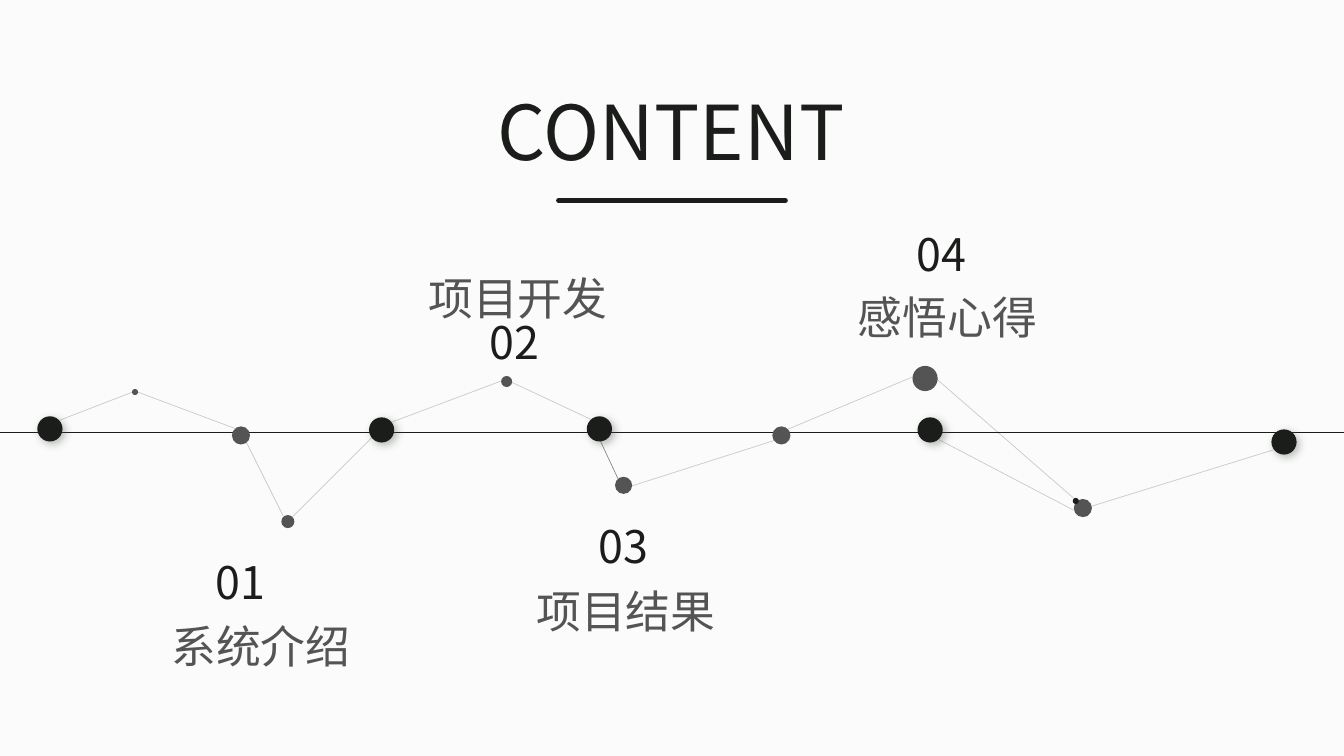
"""Build the contents slide: a timeline of linked dots with four numbered topics."""
from lxml.etree import SubElement
from pptx import Presentation
from pptx.dml.color import RGBColor
from pptx.enum.shapes import MSO_CONNECTOR, MSO_SHAPE
from pptx.enum.text import MSO_AUTO_SIZE, PP_ALIGN
from pptx.oxml import parse_xml
from pptx.oxml.ns import nsdecls, qn
from pptx.util import Inches, Pt

HUES = {"back": "FBFBFB", "ink": "1A1D1A", "gray": "545454", "shade": "505950"}
FONT = "Noto Sans CJK SC"
COLS, ROWS = 1333, 750
UNIT = Inches(0.01)

deck = Presentation()
deck.slide_width, deck.slide_height = COLS * UNIT, ROWS * UNIT
slide = deck.slides.add_slide(deck.slide_layouts[6])
slide.background.fill.solid()
slide.background.fill.fore_color.rgb = RGBColor.from_string(HUES["back"])


def add_line(ends, width, alpha=100):
    line = slide.shapes.add_connector(
        MSO_CONNECTOR.STRAIGHT, *[round(end * UNIT) for end in ends])
    line.line.color.rgb = RGBColor.from_string(HUES["ink"])
    line.line.width = Pt(width)
    SubElement(line._element.spPr, qn("a:effectLst"))
    if alpha < 100:
        tint = line.line._ln.find(".//" + qn("a:srgbClr"))
        SubElement(tint, qn("a:alpha")).set("val", str(alpha * 1000))
    return line


def add_text(text, left, top, width, height, size, hue, align, wrap):
    box = slide.shapes.add_textbox(*[n * UNIT for n in (left, top, width, height)])
    frame = box.text_frame
    frame.word_wrap = wrap
    frame.auto_size = MSO_AUTO_SIZE.SHAPE_TO_FIT_TEXT
    para = frame.paragraphs[0]
    para.text = text
    para.alignment = align
    para.font.size = Pt(size)
    para.font.name = FONT
    para.font.color.rgb = RGBColor.from_string(HUES[hue])
    for run in para.runs:
        run.font.name = FONT
        SubElement(run.font._element, qn("a:ea")).set("typeface", FONT)


add_text("CONTENT", 484, 79, 383, 101, 54, "ink", PP_ALIGN.LEFT, False)
rule = add_line((554, 199, 779, 199), 3.5)
rule.line._ln.set("cap", "rnd")
add_line((0, 429, COLS, 429), 0.75)

links = [
    (59, 417, 134, 388), (134, 388, 233, 425), (244, 438, 281, 512),
    (290, 513, 369, 434), (388, 419, 497, 378), (586, 416, 507, 379),
    (591, 428, 613, 475), (768, 437, 627, 482), (905, 374, 781, 426),
    (1068, 497, 929, 376), (1078, 513, 931, 436), (1264, 446, 1080, 503),
]
for ends in links:
    add_line(ends, 0.5, 51 if ends[0] == 591 else 21)

dots = [
    (230, 423, 18, "gray"), (766, 423, 18, "gray"), (1065, 495, 18, "gray"),
    (37, 413, 25, "ink"), (366, 414, 25, "ink"), (582, 413, 25, "ink"),
    (910, 414, 25, "ink"), (1261, 426, 25, "ink"), (279, 511, 13, "gray"),
    (497, 373, 11, "gray"), (610, 473, 17, "gray"), (905, 363, 25, "gray"),
    (131, 386, 6, "gray"), (1064, 494, 6, "ink"),
]
for left, top, size, hue in dots:
    dot = slide.shapes.add_shape(
        MSO_SHAPE.OVAL, left * UNIT, top * UNIT, size * UNIT, size * UNIT)
    dot.fill.solid()
    dot.fill.fore_color.rgb = RGBColor.from_string(HUES[hue])
    dot.line.fill.background()
    dot.shadow.inherit = False
    if hue == "ink" and size == 25:
        glow = dot._element.spPr.find(qn("a:effectLst"))
        glow.append(parse_xml(
            f'<a:outerShdw {nsdecls("a")} blurRad="{Pt(6)}" dist="{Pt(3)}" '
            f'dir="{45 * 60000}" algn="tl" rotWithShape="0">'
            f'<a:srgbClr val="{HUES["shade"]}"><a:alpha val="40000"/></a:srgbClr>'
            '</a:outerShdw>'))

topics = [
    ("01", 142, 545, "系统介绍", 160, 609, 205, True),
    ("02", 414, 307, "项目开发", 415, 264, 198, False),
    ("03", 522, 510, "项目结果", 522, 574, 198, False),
    ("04", 837, 220, "感悟心得", 841, 283, 198, False),
]
for mark, left, top, name, start, high, width, wrap in topics:
    add_text(mark, left, top, 193, 64, 32, "ink", PP_ALIGN.CENTER, True)
    add_text(name, start, high, width, 64, 32, "gray", PP_ALIGN.LEFT, wrap)

deck.save("out.pptx")
